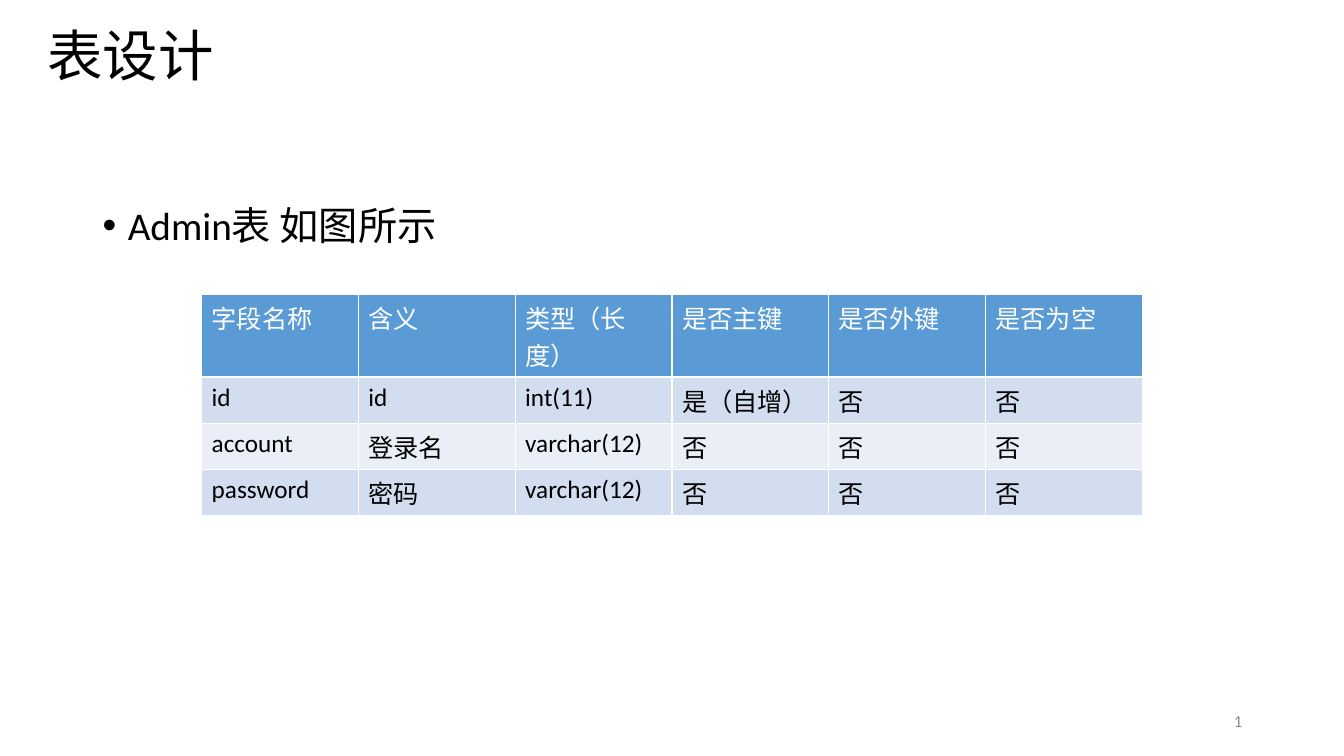
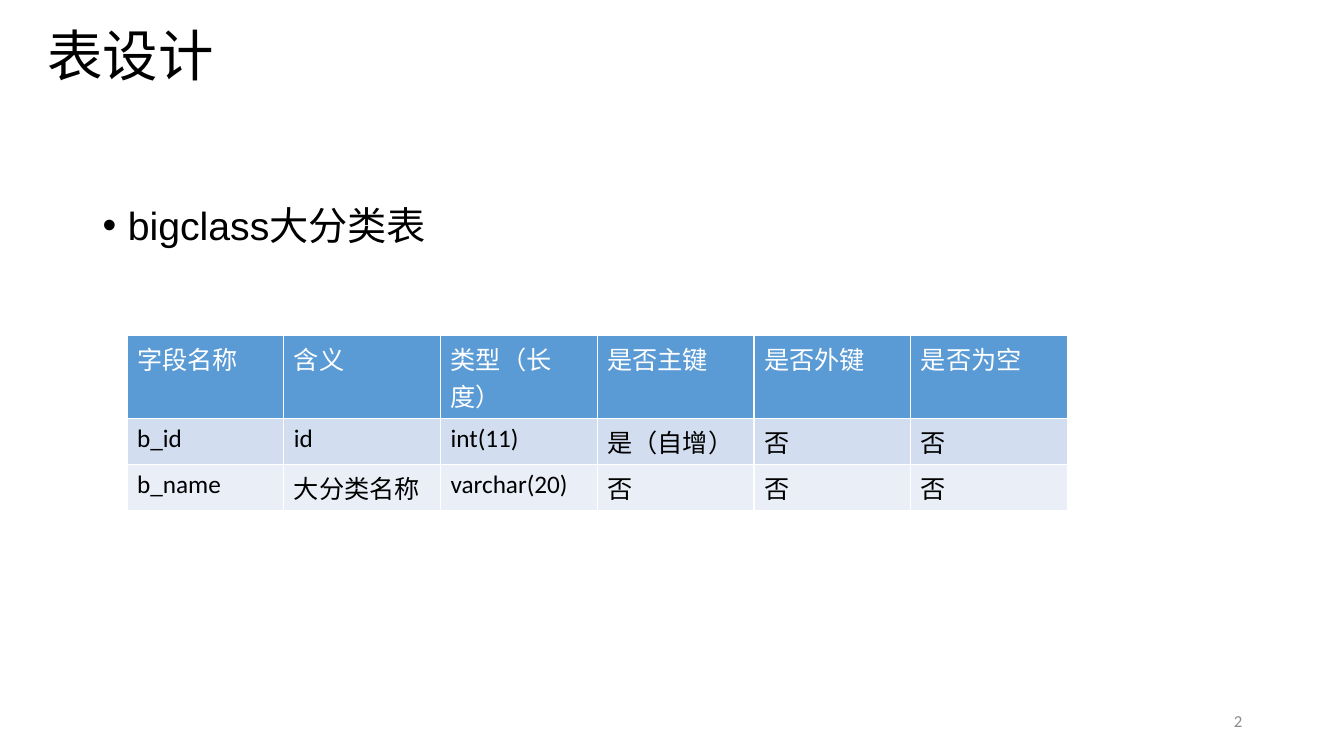
from lxml.etree import SubElement
from pptx import Presentation
from pptx.dml.color import RGBColor
from pptx.enum.text import MSO_ANCHOR, PP_ALIGN
from pptx.oxml.ns import qn
from pptx.util import Inches, Pt

BLACK = RGBColor(0x00, 0x00, 0x00)
WHITE = RGBColor(0xFF, 0xFF, 0xFF)
GRAY = RGBColor(0x8C, 0x8C, 0x8C)
HEADER_BLUE = RGBColor(0x5B, 0x9B, 0xD5)
BAND_FILLS = (RGBColor(0xD2, 0xDE, 0xEF), RGBColor(0xEA, 0xEF, 0xF7))

BODY_FONT = "Calibri"
ALT_FONT = "Arial"
TITLE = "表设计"
HEADINGS = ("字段名称", "含义", "类型（长度）", "是否主键", "是否外键", "是否为空")
TABLE_WIDTH = 9.33
HEADER_HEIGHT = 0.82
FIELD_HEIGHT = 0.46

ADMIN_FIELDS = (
    ("id", "id", "int(11)", "是（自增）", "否", "否"),
    ("account", "登录名", "varchar(12)", "否", "否", "否"),
    ("password", "密码", "varchar(12)", "否", "否", "否"),
)
BIGCLASS_FIELDS = (
    ("b_id", "id", "int(11)", "是（自增）", "否", "否"),
    ("b_name", "大分类名称", "varchar(20)", "否", "否", "否"),
)


def add_run(paragraph, text, size, color, name=BODY_FONT):
    run = paragraph.add_run()
    run.text = text
    run.font.size = Pt(size)
    run.font.name = name
    run.font.bold = False
    run.font.color.rgb = color
    return run


def add_text_area(slide, left, top, width, height, anchor):
    """Add a wrapping text box and return its first paragraph."""
    box = slide.shapes.add_textbox(Inches(left), Inches(top), Inches(width), Inches(height))
    frame = box.text_frame
    frame.word_wrap = True
    frame.vertical_anchor = anchor
    return frame.paragraphs[0]


def add_title(slide):
    paragraph = add_text_area(slide, 0.37, 0.28, 11.5, 0.6, MSO_ANCHOR.MIDDLE)
    paragraph.line_spacing = 0.9
    add_run(paragraph, TITLE, 39.6, BLACK)


def add_bullet(slide, text, font_name):
    paragraph = add_text_area(slide, 0.92, 2, 11.5, 4.76, MSO_ANCHOR.TOP)
    paragraph.line_spacing = 0.9
    paragraph.space_before = Pt(10)
    properties = paragraph._p.get_or_add_pPr()
    properties.set("marL", str(Inches(0.25)))
    properties.set("indent", str(-Inches(0.25)))
    SubElement(properties, qn("a:buFont"), typeface=ALT_FONT)
    SubElement(properties, qn("a:buChar"), char="•")
    add_run(paragraph, text, 28, BLACK, font_name)


def add_slide_number(slide, number):
    """Add the page number as a live field."""
    paragraph = add_text_area(slide, 9.42, 6.95, 3, 0.4, MSO_ANCHOR.MIDDLE)
    paragraph.alignment = PP_ALIGN.RIGHT
    run = add_run(paragraph, str(number), 12, GRAY)._r
    field = SubElement(paragraph._p, qn("a:fld"), type="slidenum",
                       id="{B6F15528-21DE-4FAA-801E-634DDDAF4B2B}")
    field.extend(list(run))
    paragraph._p.remove(run)


def set_borders(cell):
    properties = cell._tc.get_or_add_tcPr()
    for side in "LRTB":
        line = SubElement(properties, qn(f"a:ln{side}"), w=str(Pt(1)))
        SubElement(SubElement(line, qn("a:solidFill")), qn("a:srgbClr"), val=str(WHITE))


def fill_cell(cell, text, fill_color, text_color):
    set_borders(cell)
    cell.fill.solid()
    cell.fill.fore_color.rgb = fill_color
    add_run(cell.text_frame.paragraphs[0], text, 18, text_color)


def add_field_table(slide, left, top, fields):
    rows = (HEADINGS, *fields)
    height = HEADER_HEIGHT + FIELD_HEIGHT * len(fields)
    table = slide.shapes.add_table(
        len(rows), len(HEADINGS), Inches(left), Inches(top),
        Inches(TABLE_WIDTH), Inches(height)).table
    for index, texts in enumerate(rows):
        if index == 0:
            row_height, fill_color, text_color = HEADER_HEIGHT, HEADER_BLUE, WHITE
        else:
            row_height, fill_color, text_color = FIELD_HEIGHT, BAND_FILLS[(index - 1) % 2], BLACK
        table.rows[index].height = Inches(row_height)
        for column, text in enumerate(texts):
            fill_cell(table.cell(index, column), text, fill_color, text_color)


def main():
    presentation = Presentation()
    presentation.slide_width = Inches(13.33)
    presentation.slide_height = Inches(7.5)
    designs = (
        ("Admin表 如图所示", BODY_FONT, 2, 2.92, ADMIN_FIELDS),
        ("bigclass大分类表", ALT_FONT, 1.26, 3.33, BIGCLASS_FIELDS),
    )
    for number, (caption, font_name, left, top, fields) in enumerate(designs, start=1):
        slide = presentation.slides.add_slide(presentation.slide_layouts[6])
        add_title(slide)
        add_bullet(slide, caption, font_name)
        add_slide_number(slide, number)
        add_field_table(slide, left, top, fields)
    presentation.save("out.pptx")


if __name__ == "__main__":
    main()
